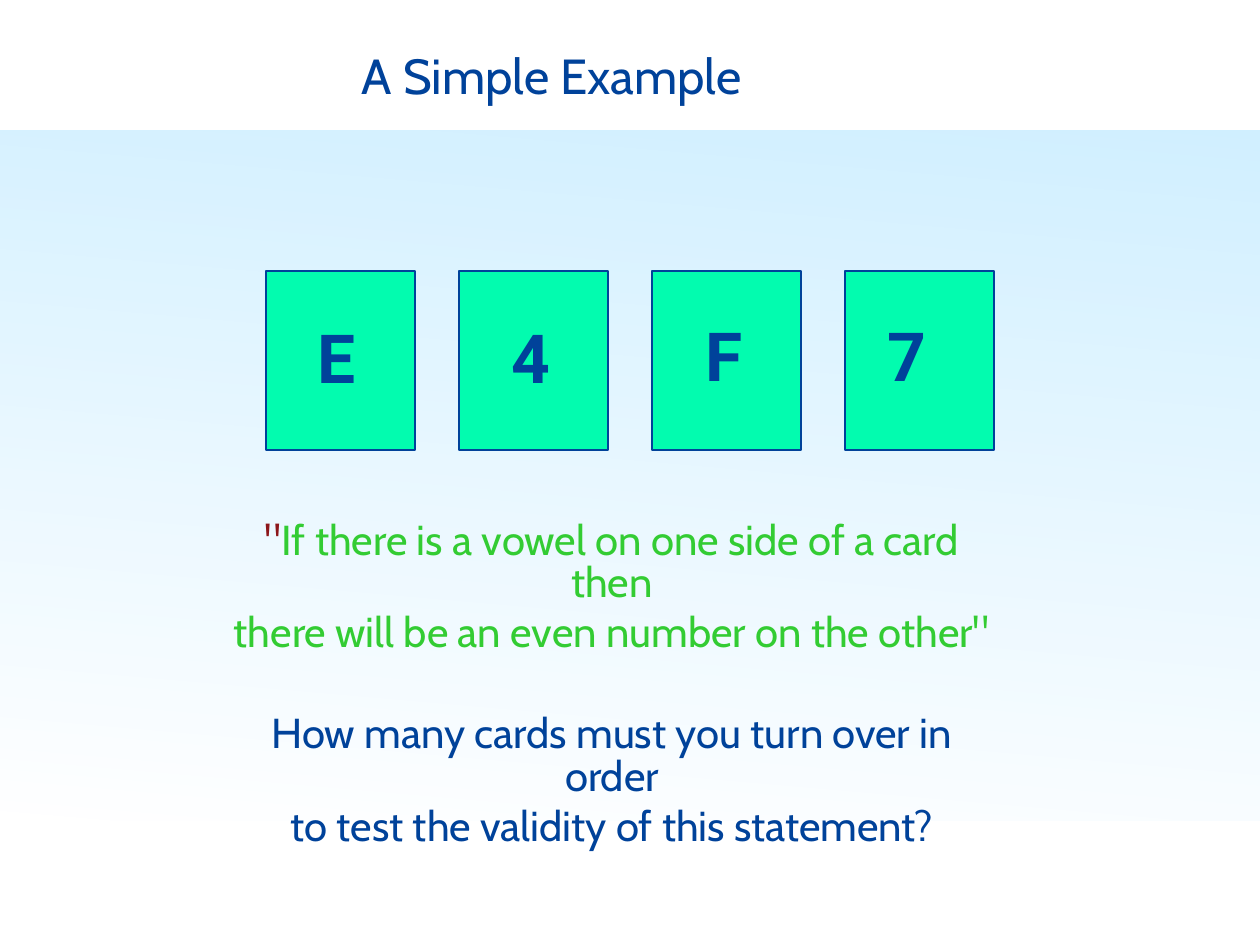
from lxml import etree
from pptx import Presentation
from pptx.dml.color import RGBColor
from pptx.enum.shapes import MSO_SHAPE
from pptx.enum.text import MSO_ANCHOR, PP_ALIGN
from pptx.oxml.ns import qn
from pptx.util import Pt

RECTANGLE = MSO_SHAPE.RECTANGLE
TOP, MIDDLE = MSO_ANCHOR.TOP, MSO_ANCHOR.MIDDLE
LEFT, CENTER, RIGHT = PP_ALIGN.LEFT, PP_ALIGN.CENTER, PP_ALIGN.RIGHT

EMU_PER_PX = 10320
PAGE_WIDTH, PAGE_HEIGHT = 1260, 945
COLORS = {
    "sky": "66CCFF",
    "white": "FFFFFF",
    "navy": "00429A",
    "mint": "02FCAF",
    "green": "33CC33",
    "maroon": "8C161A",
}
CARD_LEFT, CARD_TOP, CARD_PITCH = 266, 271, 193
CARD_WIDTH, CARD_HEIGHT = 149, 179
LETTER_WIDTH, LETTER_HEIGHT = 80, 79
# Letter, right edge and top of its box
CARD_LETTERS = [("E", 365, 324), ("4", 559, 324), ("F", 752, 322), ("7", 935, 322)]

# Space before in points, then the (text, color) spans of each paragraph
STATEMENT = [
    (0, [("\"", "maroon"), ("If there is a vowel on one side of a card then", "green")]),
    (6, [("there will be an even number on the other\"", "green")]),
    (47, [("How many cards must you turn over in order", "navy")]),
    (6, [("to test the validity of this statement?", "navy")]),
]


def px(length):
    return length * EMU_PER_PX


def rgb(name):
    return RGBColor.from_string(COLORS[name])


def add_rectangle(page, left, top, width, height):
    box = page.shapes.add_shape(RECTANGLE, px(left), px(top), px(width), px(height))
    box.shadow.inherit = False
    return box


def add_sky(page):
    """Add the pale band that fades from sky blue to white."""
    band = add_rectangle(page, 0, 130, PAGE_WIDTH, 691)
    band.line.fill.background()
    band.fill.gradient()
    band.fill.gradient_angle = 265
    for stop, color in zip(band.fill.gradient_stops, ("sky", "white")):
        stop.color.rgb = rgb(color)
    for color_element in band._element.spPr.iter(qn("a:srgbClr")):
        etree.SubElement(color_element, qn("a:alpha"), val="30000")


def add_card(page, left):
    card = add_rectangle(page, left, CARD_TOP, CARD_WIDTH, CARD_HEIGHT)
    card.fill.solid()
    card.fill.fore_color.rgb = rgb("mint")
    card.line.color.rgb = rgb("navy")
    card.line.width = Pt(2)


def add_text(page, left, top, width, height, paragraphs, size, font="Cabin",
             bold=False, align=LEFT, anchor=TOP, spacing=1.0, insets=(9, 4)):
    """Add a wrapping text box; insets are (horizontal, vertical) px."""
    box = page.shapes.add_textbox(px(left), px(top), px(width), px(height))
    frame = box.text_frame
    frame.word_wrap = True
    frame.vertical_anchor = anchor
    frame.margin_left = frame.margin_right = px(insets[0])
    frame.margin_top = frame.margin_bottom = px(insets[1])
    for index, (space_before, spans) in enumerate(paragraphs):
        para = frame.add_paragraph() if index else frame.paragraphs[0]
        para.alignment = align
        para.line_spacing = spacing
        para.space_before = Pt(space_before)
        for text, color in spans:
            span = para.add_run()
            span.text = text
            span.font.name = font
            span.font.size = Pt(size)
            span.font.bold = bold
            span.font.color.rgb = rgb(color)


def main():
    deck = Presentation()
    deck.slide_width, deck.slide_height = px(PAGE_WIDTH), px(PAGE_HEIGHT)
    page = deck.slides.add_slide(deck.slide_layouts[6])

    add_sky(page)
    add_text(page, 357, 40, 587, 69, [(0, [("A Simple Example", "navy")])], 40,
             anchor=MIDDLE, insets=(5, 5))
    for index, (letter, right, top) in enumerate(CARD_LETTERS):
        add_card(page, CARD_LEFT + index * CARD_PITCH)
        add_text(page, right - LETTER_WIDTH, top, LETTER_WIDTH, LETTER_HEIGHT,
                 [(0, [(letter, "navy")])], 55, font="Roboto", bold=True,
                 align=RIGHT, spacing=0.85)
    add_text(page, 218, 517, 788, 340, STATEMENT, 34, align=CENTER, spacing=0.85)

    deck.save("out.pptx")


if __name__ == "__main__":
    main()
